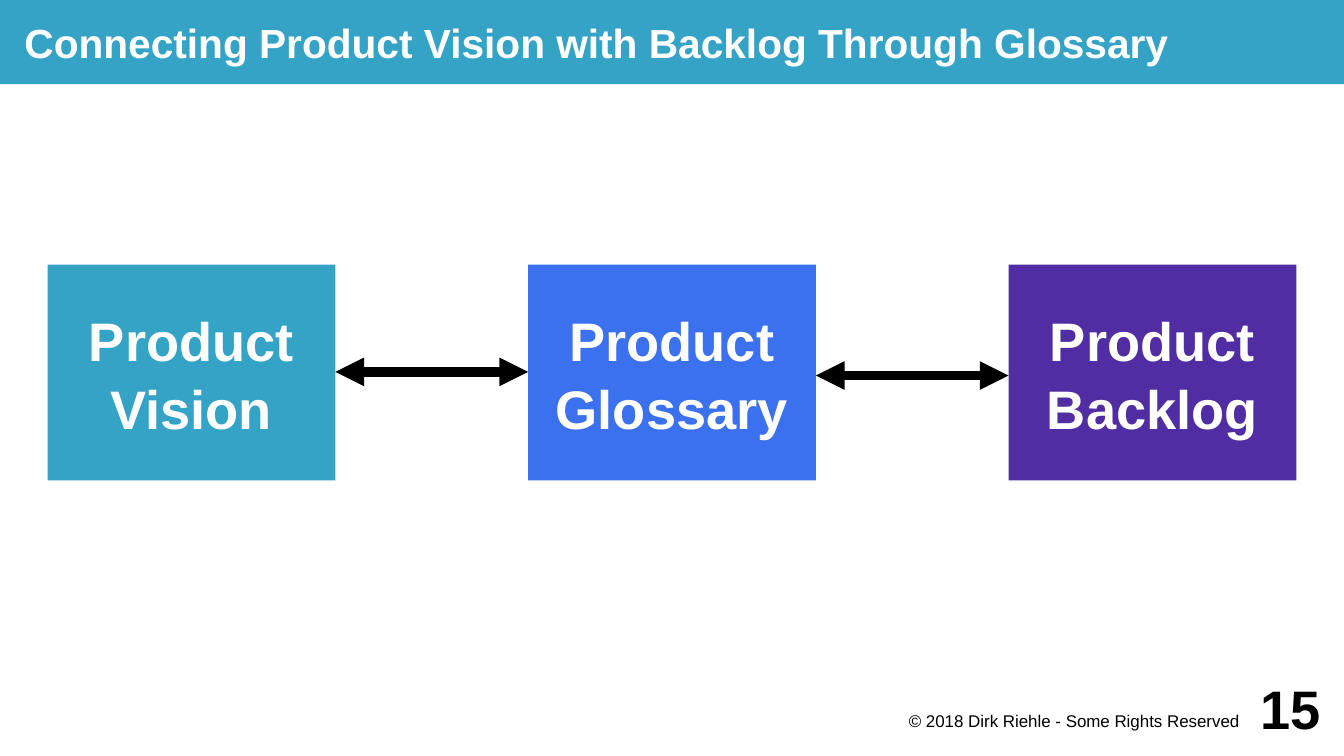
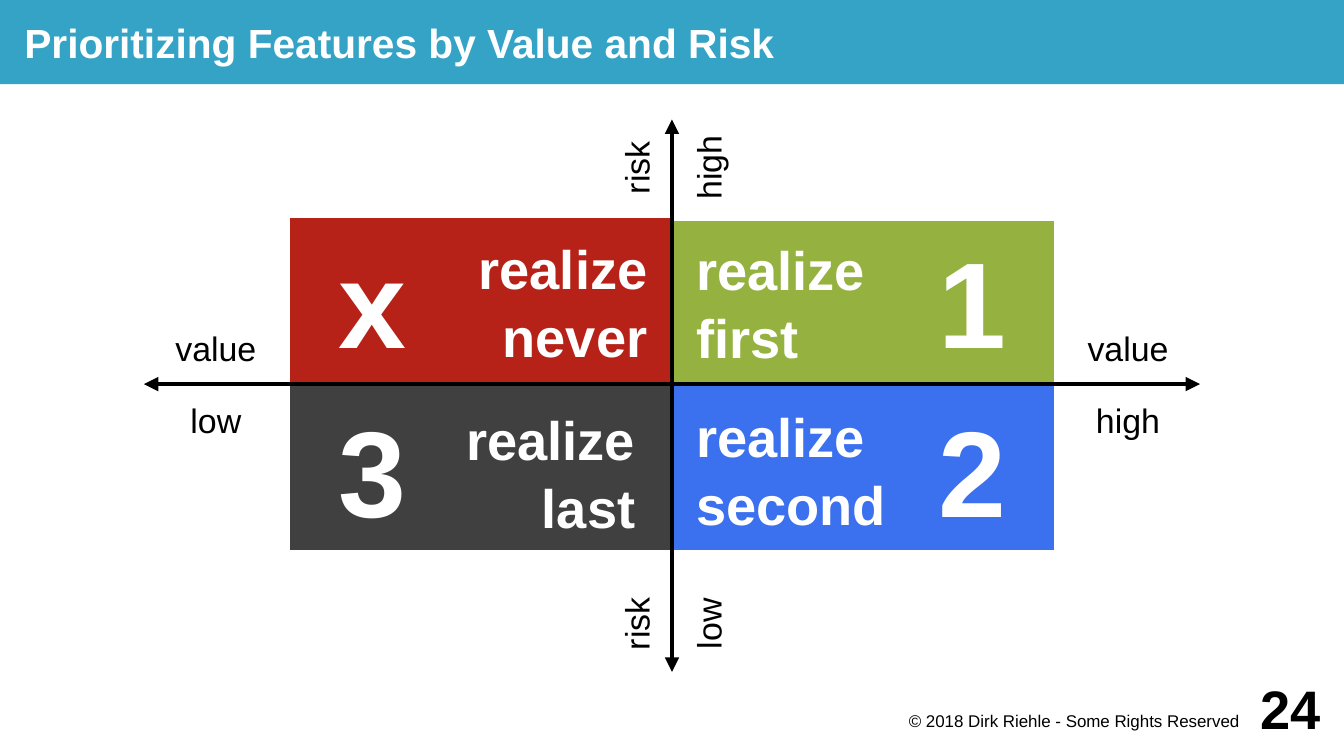
from dataclasses import dataclass
from lxml import etree
from pptx import Presentation
from pptx.dml.color import RGBColor
from pptx.enum import shapes, text
from pptx.oxml import ns
from pptx.util import Inches, Pt


@dataclass(frozen=True)
class Theme:
    font: str = "Arial"
    teal: str = "34A3C5"
    blue: str = "3B70EE"
    purple: str = "502DA2"
    green: str = "95B241"
    red: str = "B62118"
    gray: str = "404040"
    white: str = "FFFFFF"
    black: str = "000000"
    title: int = 24
    label: int = 20
    large: int = 32
    huge: int = 72
    small: int = 10
    thin: float = 2.83
    thick: float = 5.67
    pad: float = 0.08
    leading: float = 1.05


T = Theme()
LEFT, CENTER, RIGHT = text.PP_ALIGN.LEFT, text.PP_ALIGN.CENTER, text.PP_ALIGN.RIGHT
WIDTH, HEIGHT = 11.02, 6.2
FOOTER = "© 2018 Dirk Riehle - Some Rights Reserved"

ARTIFACTS = [
    (["Product", "Vision"], T.teal),
    (["Product", "Glossary"], T.blue),
    (["Product", "Backlog"], T.purple),
]
ARROW_LEVELS = [3.05, 3.08]

QUADRANTS = [
    (1, 1, 3.15, ["realize", "second"], "2", T.blue),
    (1, 0, 1.79, ["realize", "first"], "1", T.green),
    (0, 0, 1.77, ["realize", "never"], "x", T.red),
    (0, 1, 3.15, ["realize", "last"], "3", T.gray),
]
VALUE_LABELS = [("value", "low"), ("value", "high")]
RISK_LABELS = [("risk", "high"), ("risk", "low")]


def rgb(color):
    return RGBColor.from_string(color)


def write(sp, lines, size, color, bold=False, align=CENTER, insets=(0, 0, 0, 0),
          anchor=text.MSO_ANCHOR.MIDDLE):
    tf = sp.text_frame
    tf.word_wrap = True
    tf.auto_size = text.MSO_AUTO_SIZE.NONE
    tf.vertical_anchor = anchor
    tf.margin_left, tf.margin_top, tf.margin_right, tf.margin_bottom = map(Inches, insets)
    for i, line in enumerate(lines):
        p = tf.paragraphs[0] if i == 0 else tf.add_paragraph()
        p.text = line
        p.alignment = align
        if len(lines) > 1:
            p.line_spacing = T.leading
        p.font.name = T.font
        p.font.size = Pt(size)
        p.font.bold = bold
        p.font.color.rgb = rgb(color)


def add_text(s, box, line, size, color=T.black, rotation=0, **style):
    sp = s.shapes.add_textbox(*map(Inches, box))
    sp.rotation = rotation
    write(sp, [line], size, color, **style)


def add_box(s, box, lines, fill, outline=None, **style):
    sp = s.shapes.add_shape(shapes.MSO_SHAPE.RECTANGLE, *map(Inches, box))
    sp.shadow.inherit = False
    sp.fill.solid()
    sp.fill.fore_color.rgb = rgb(fill)
    if outline:
        sp.line.color.rgb = rgb(outline)
        sp.line.width = Pt(T.thin)
    else:
        sp.line.fill.background()
    write(sp, lines, T.large, T.white, bold=True, **style)


def add_arrow(s, start, end, width):
    line = s.shapes.add_connector(shapes.MSO_CONNECTOR.STRAIGHT, *map(Inches, start + end))
    line.line.color.rgb = rgb(T.black)
    line.line.width = Pt(width)
    ln = line.line._get_or_add_ln()
    for tag in ("a:headEnd", "a:tailEnd"):
        etree.SubElement(ln, ns.qn(tag), type="triangle")
    etree.SubElement(line._element.spPr, ns.qn("a:effectLst"))


def add_slide(prs, title, number):
    s = prs.slides.add_slide(prs.slide_layouts[5])
    sp = s.shapes.title
    sp.left, sp.top, sp.width, sp.height = map(Inches, (0, 0, WIDTH, 0.69))
    sp.fill.solid()
    sp.fill.fore_color.rgb = rgb(T.teal)
    write(sp, [title], T.title, T.white, bold=True, align=LEFT, insets=(0.2, 0, 0, 0))
    add_text(s, (7.09, 5.81, 3.15, 0.3), FOOTER, T.small, align=RIGHT,
             insets=(0, 0.02, T.pad, 0), anchor=text.MSO_ANCHOR.TOP)
    add_text(s, (10.04, 5.51, 0.79, 0.59), str(number), T.large, bold=True, align=RIGHT)
    return s


def build_connection(prs):
    s = add_slide(prs, "Connecting Product Vision with Backlog Through Glossary", 15)
    left, top, width, height, step = 0.39, 2.17, 2.36, 1.77, 3.94
    for i, (lines, fill) in enumerate(ARTIFACTS):
        add_box(s, (left + i * step, top, width, height), lines, fill, insets=(T.pad,) * 4)
    for i, y in enumerate(ARROW_LEVELS):
        x = left + i * step
        add_arrow(s, (x + width, y), (x + step, y), T.thick)


def build_priorities(prs):
    s = add_slide(prs, "Prioritizing Features by Value and Risk", 24)
    mid_x, mid_y, width, height = 5.51, 3.15, 3.15, 1.38
    reach_x, top, bottom = 4.33, 0.98, 5.51
    label_w, label_h, risk_w = 1.18, 0.59, 0.79

    for col, row, y, lines, rank, fill in QUADRANTS:
        x = mid_x + (col - 1) * width
        row_end = mid_y + row * height
        right_pad, top_pad = (0.3, 0.13) if (col, row) == (0, 1) else (0.2, T.pad)
        add_box(s, (x, y, width, row_end - y), lines, fill, T.white,
                align=LEFT if col else RIGHT, insets=(0.2, top_pad, right_pad, T.pad))
        rank_x = x + col * (width - height)
        add_text(s, (rank_x, row_end - height, height, height), rank, T.huge, T.white, bold=True)

    add_arrow(s, (mid_x, bottom), (mid_x, top), T.thin)
    add_arrow(s, (mid_x - reach_x, mid_y), (mid_x + reach_x, mid_y), T.thin)

    pads = (T.pad,) * 4
    for x, pair in zip((mid_x - reach_x, mid_x + width), VALUE_LABELS):
        for i, word in enumerate(pair):
            add_text(s, (x, mid_y + (i - 1) * label_h, label_w, label_h), word, T.label, insets=pads)
    for y, pair in zip((1.08, 4.82), RISK_LABELS):
        for i, word in enumerate(pair):
            add_text(s, (4.82 + i * label_h, y, risk_w, label_h), word, T.label,
                     rotation=270, insets=pads)


def main():
    prs = Presentation()
    prs.slide_width, prs.slide_height = Inches(WIDTH), Inches(HEIGHT)
    build_connection(prs)
    build_priorities(prs)
    prs.save("out.pptx")


if __name__ == "__main__":
    main()
